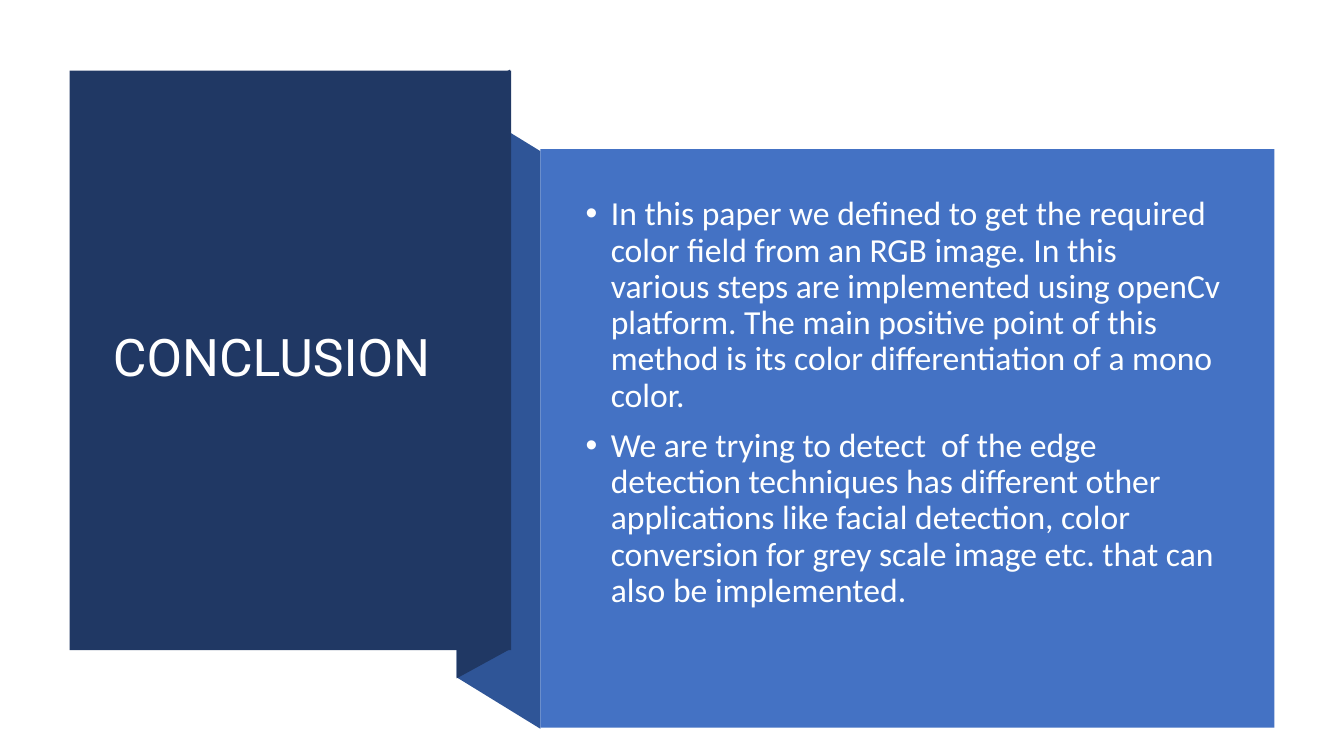
from pptx import Presentation
from pptx.dml.color import RGBColor
from pptx.enum.shapes import MSO_SHAPE as Shape
from pptx.enum.text import MSO_ANCHOR as Anchor, MSO_AUTO_SIZE as AutoSize, PP_ALIGN as Align
from pptx.oxml.ns import qn
from pptx.util import Inches, Pt
from lxml.etree import SubElement

COLOURS = {
    "navy": "203864",
    "fold": "2F5597",
    "panel": "4472C4",
    "heading": "FFFFFF",
    "body": "FEFFFF",
}
FRAME = {"word_wrap": True, "auto_size": AutoSize.NONE, "vertical_anchor": Anchor.MIDDLE}
PARAGRAPH = {"alignment": Align.LEFT, "line_spacing": 0.9}
HEADING_FONT = {"name": "Roboto", "size": Pt(37), "bold": False}
BODY_FONT = {"name": "Calibri", "size": Pt(24), "bold": False}
CONCLUSIONS = [
    "In this paper we defined to get the required color field from an RGB image. "
    "In this various steps are implemented using openCv platform. The main positive "
    "point of this method is its color differentiation of a mono color.",
    "We are trying to detect  of the edge detection techniques has different other "
    "applications like facial detection, color conversion for grey scale image etc. "
    "that can also be implemented.",
]


def apply(target, values):
    """Set each attribute of the target from a dict."""
    for name, value in values.items():
        setattr(target, name, value)


def paint(shape, colour):
    """Give a shape a flat fill without line or shadow."""
    shape.shadow.inherit = False
    shape.fill.solid()
    shape.fill.fore_color.rgb = RGBColor.from_string(COLOURS[colour])
    shape.line.fill.background()


def write(paragraph, text, font, colour):
    """Fill a paragraph with one formatted run."""
    apply(paragraph, PARAGRAPH)
    run = paragraph.add_run()
    run.text = text
    apply(run.font, font)
    run.font.color.rgb = RGBColor.from_string(COLOURS[colour])


def add_bullet(paragraph):
    """Hang a round bullet in front of a paragraph."""
    properties = paragraph._p.get_or_add_pPr()
    properties.set("marL", str(Inches(0.25)))
    properties.set("indent", str(-Inches(0.25)))
    SubElement(properties, qn("a:buFont")).set("typeface", "Arial")
    SubElement(properties, qn("a:buChar")).set("char", "•")


def add_fold(slide, left, top, width, height, rise, colour):
    """Draw a ribbon face whose right edge is shifted down by rise."""
    right, bottom = left + width, top + height
    corners = [(left, top), (right, top + rise), (right, bottom + rise), (left, bottom)]
    points = [(Inches(x), Inches(y)) for x, y in corners]
    builder = slide.shapes.build_freeform(*points[0])
    builder.add_line_segments(points[1:], close=True)
    paint(builder.convert_to_shape(), colour)


def add_heading_card(slide, left, top, width, height):
    """Draw the navy card and place the title on it."""
    box = [Inches(length) for length in (left, top, width, height)]
    paint(slide.shapes.add_shape(Shape.RECTANGLE, *box), "navy")
    heading = slide.shapes.title
    apply(heading, {
        "left": Inches(left + 0.33), "top": Inches(top + 0.37),
        "width": Inches(width - 0.66), "height": Inches(height - 0.76),
    })
    apply(heading.text_frame, FRAME)
    write(heading.text_frame.paragraphs[0], "CONCLUSION", HEADING_FONT, "heading")
    slide.shapes._spTree.append(heading._element)


def add_conclusion_panel(slide, left, top, width, height):
    """Draw the blue panel with the bulleted conclusions."""
    box = [Inches(length) for length in (left, top, width, height)]
    paint(slide.shapes.add_shape(Shape.RECTANGLE, *box), "panel")
    conclusions = slide.shapes.add_textbox(
        Inches(left + 0.35), Inches(top + 0.4), Inches(width - 0.77), Inches(height - 1.5)
    ).text_frame
    apply(conclusions, FRAME)
    for index, text in enumerate(CONCLUSIONS):
        paragraph = conclusions.add_paragraph() if index else conclusions.paragraphs[0]
        write(paragraph, text, BODY_FONT, "body")
        paragraph.space_before = Pt(10)
        add_bullet(paragraph)


def build_conclusion(slide):
    """Lay out the folded ribbon, heading card and panel."""
    add_fold(slide, 4.53, 0.99, 0.83, 5.73, 0.51, "fold")
    add_fold(slide, 4.53, 0.98, 0.53, 5.75, -0.29, "navy")
    add_heading_card(slide, 0.69, 0.7, 4.38, 5.75)
    add_conclusion_panel(slide, 5.36, 1.48, 7.28, 5.74)


def main():
    """Build and save the slide."""
    deck = Presentation()
    apply(deck, {"slide_width": Inches(13.33), "slide_height": Inches(7.5)})
    build_conclusion(deck.slides.add_slide(deck.slide_layouts[5]))
    deck.save("out.pptx")


if __name__ == "__main__":
    main()
